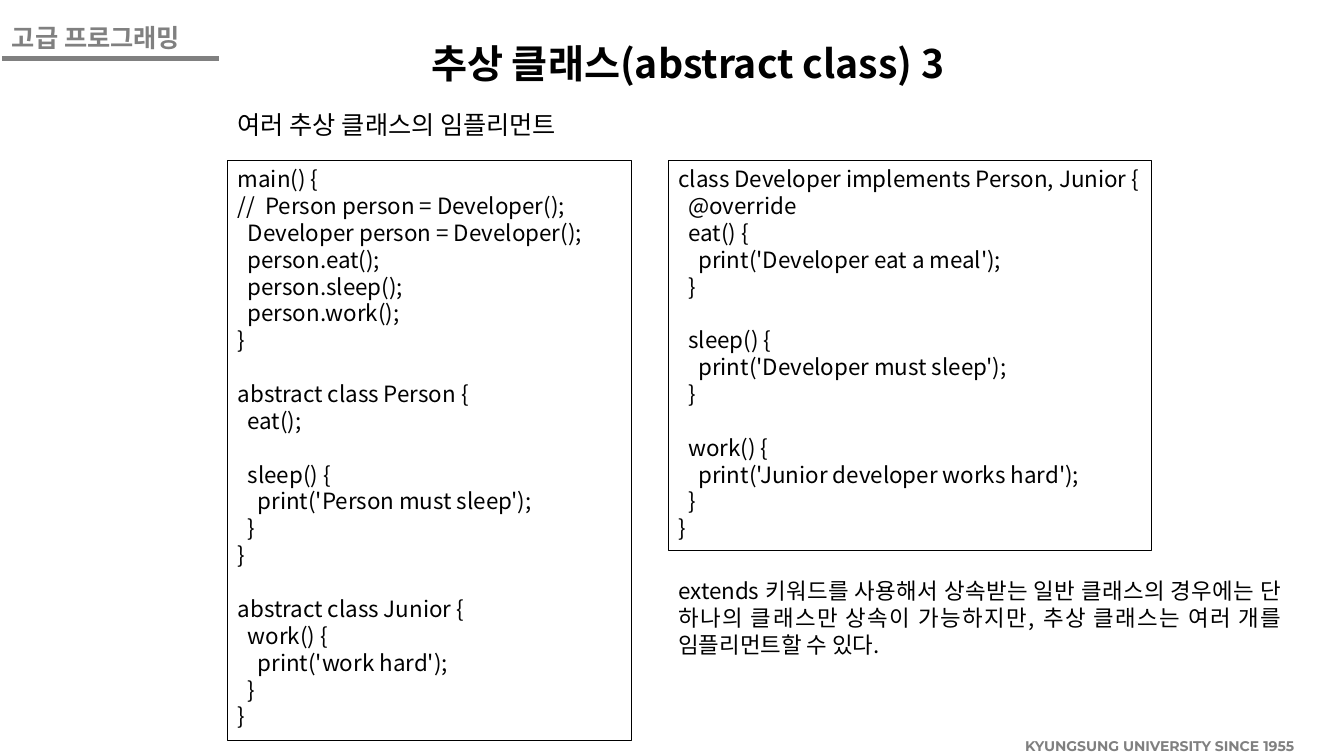
from lxml import etree
from pptx import Presentation
from pptx import util as u
from pptx.dml.color import RGBColor
from pptx.enum import shapes, text
from pptx.oxml.ns import qn

PX = 9144  # 100 px to the inch
COLORS = {"ink": "000000", "gray": "808080"}
SANS = "Noto Sans CJK KR"
ALIGN = text.PP_ALIGN

MAIN = """main() {
//  Person person = Developer();
  Developer person = Developer();
  person.eat();
  person.sleep();
  person.work();
}

abstract class Person {
  eat();

  sleep() {
    print('Person must sleep');
  }
}

abstract class Junior {
  work() {
    print('work hard');
  }
}"""

DEV = """class Developer implements Person, Junior {
  @override
  eat() {
    print('Developer eat a meal');
  }

  sleep() {
    print('Developer must sleep');
  }

  work() {
    print('Junior developer works hard');
  }
}"""


def px(*nums):
    return [u.Emu(n * PX) for n in nums]


def write(shape, words, size, color="ink", bold=False, face=SANS,
          align=ALIGN.LEFT, wrap=True):
    """Fill a shape with one paragraph per line of words."""
    frame = shape.text_frame
    frame.word_wrap = wrap
    frame.auto_size = text.MSO_AUTO_SIZE.NONE
    frame.vertical_anchor = text.MSO_ANCHOR.TOP
    for i, line in enumerate(words.split("\n")):
        para = frame.add_paragraph() if i else frame.paragraphs[0]
        para.alignment = align
        if not line:
            para.font.size = u.Pt(size)
            end = etree.SubElement(para._p, qn("a:endParaRPr"), sz=str(size * 100))
            fonts = end
        else:
            run = para.add_run()
            run.text = line
            run.font.size = u.Pt(size)
            run.font.bold = bold
            run.font.color.rgb = RGBColor.from_string(COLORS[color])
            run.font.name = face
            fonts = run.font._element
        if not line:
            etree.SubElement(fonts, qn("a:latin"), typeface=face)
        etree.SubElement(fonts, qn("a:ea"), typeface=face)


deck = Presentation()
deck.slide_width, deck.slide_height = px(1333, 750)
slide = deck.slides.add_slide(deck.slide_layouts[5])
items = slide.shapes

# Header and footer
foot = items.add_textbox(*px(1007, 727, 319, 28))
write(foot, "KYUNGSUNG UNIVERSITY SINCE 1955", 10, "gray", True, "Montserrat")

rule = items.add_connector(shapes.MSO_CONNECTOR.STRAIGHT, *px(2, 58, 217, 58))
rule.line.color.rgb = RGBColor.from_string(COLORS["gray"])
rule.line.width = u.Pt(3.75)
etree.SubElement(rule._element.spPr, qn("a:effectLst"))

course = items.add_textbox(*px(2, 17, 206, 40))
write(course, "고급 프로그래밍", 18, "gray", True, wrap=False)

# Title and subtitle
title = items.title
title.left, title.top, title.width, title.height = px(409, 34, 546, 57)
write(title, "추상 클래스(abstract class) 3", 28, bold=True,
      align=ALIGN.CENTER, wrap=False)

topic = items.add_textbox(*px(226, 104, 375, 40))
write(topic, "여러 추상 클래스의 임플리먼트", 18, wrap=False)

# Code panels
for code, left, width, height in ((MAIN, 226, 400, 576), (DEV, 663, 479, 387)):
    panel = items.add_shape(shapes.MSO_SHAPE.RECTANGLE,
                            *px(left, 159, width, height))
    panel.shadow.inherit = False
    panel.fill.background()
    panel.line.color.rgb = RGBColor.from_string(COLORS["ink"])
    panel.line.width = u.Pt(0.75)
    write(panel, code, 16)

# Explanation
note = items.add_textbox(*px(663, 568, 618, 91))
write(note, "extends 키워드를 사용해서 상속받는 일반 클래스의 경우에는 단 "
      "하나의 클래스만 상속이 가능하지만, 추상 클래스는 여러 개를 "
      "임플리먼트할 수 있다.", 16, align=ALIGN.JUSTIFY)

deck.save("out.pptx")
